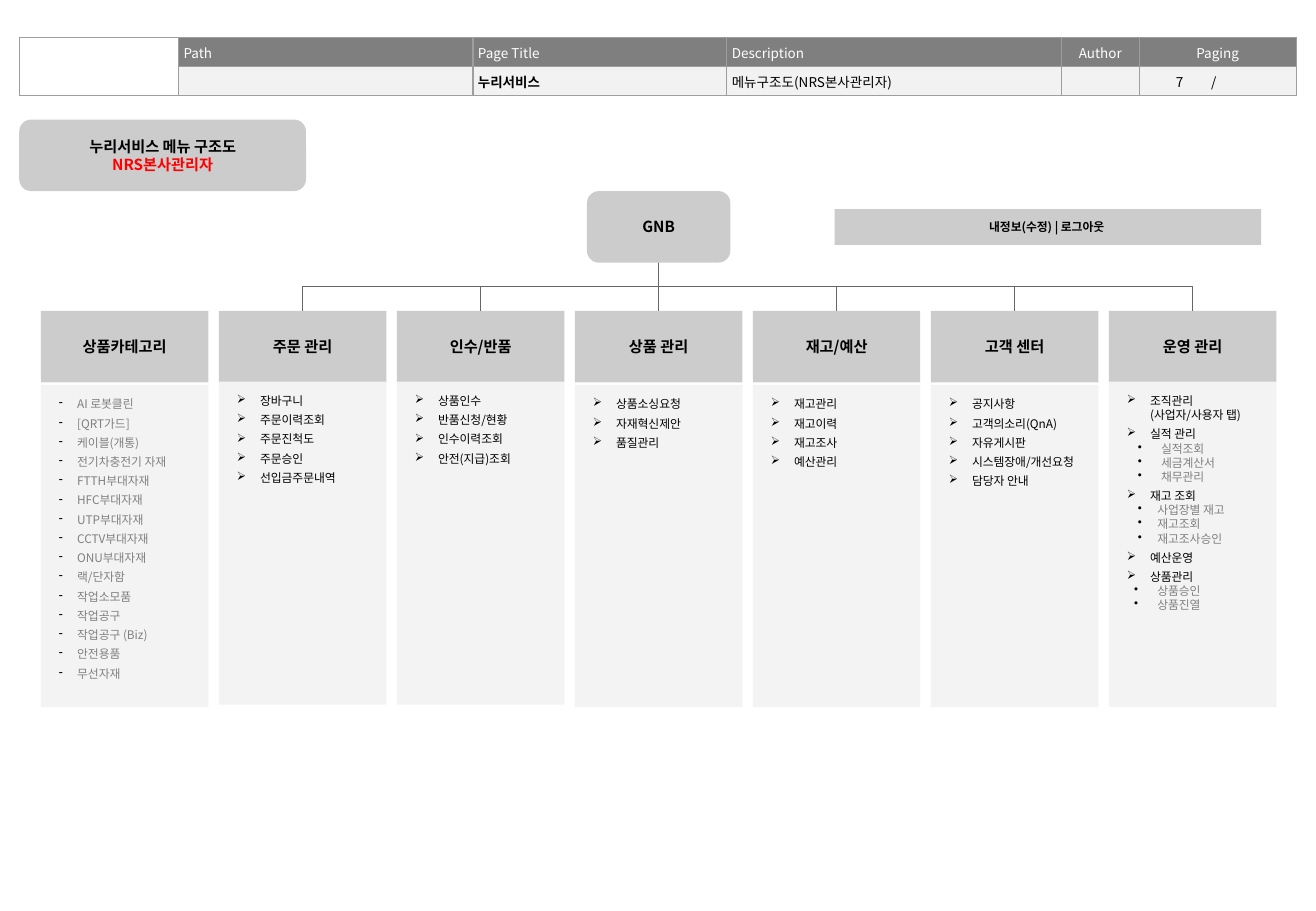
from copy import deepcopy

from lxml import etree
from pptx import Presentation
from pptx.dml.color import RGBColor
from pptx.enum import shapes, text
from pptx.oxml import ns
from pptx.util import Pt

FONT = "Noto Sans CJK KR"
BLACK = RGBColor(0x00, 0x00, 0x00)
WHITE = RGBColor(0xFF, 0xFF, 0xFF)
RED = RGBColor(0xFF, 0x00, 0x00)
GRAY = RGBColor(0x80, 0x80, 0x80)
LINE = RGBColor(0x66, 0x66, 0x66)
BORDER = RGBColor(0x9E, 0x9E, 0x9E)
HEADING_FILL = RGBColor(0x7F, 0x7F, 0x7F)
VALUE_FILL = RGBColor(0xF2, 0xF2, 0xF2)
BOX_FILL = RGBColor(0xCC, 0xCC, 0xCC)
LIST_FILL = RGBColor(0xF3, 0xF3, 0xF3)

LEFT, CENTER, RIGHT = text.PP_ALIGN.LEFT, text.PP_ALIGN.CENTER, text.PP_ALIGN.RIGHT
RECTANGLE = shapes.MSO_SHAPE.RECTANGLE
ROUNDED = shapes.MSO_SHAPE.ROUNDED_RECTANGLE

MENU_LEFT, MENU_STEP, MENU_WIDTH = 24.3, 105.5, 99.2
MENU_TOP, BOX_HEIGHT = 184.3, 42.4
LIST_HIGH, LIST_LOW = 226.2, 228.2

CATEGORY = {"bullet": "-", "margin": 14.4, "hanging": 10.8, "before": 3, "color": GRAY}
ITEM = {"bullet": "➢", "margin": 17.3, "hanging": 13.7, "before": 3}
RESULT = {"bullet": "•", "margin": 23.8, "hanging": 13.7, "color": GRAY}
STOCK = {"bullet": "•", "margin": 21.6, "hanging": 11.5, "color": GRAY}
PRODUCT = {"bullet": "•", "margin": 21.6, "hanging": 13.7, "color": GRAY}

MENUS = [
    ("상품카테고리", LIST_LOW, 191, [(CATEGORY, [
        "AI 로봇클린", "[QRT가드]", "케이블(개통)", "전기차충전기 자재", "FTTH부대자재",
        "HFC부대자재", "UTP부대자재", "CCTV부대자재", "ONU부대자재", "랙/단자함",
        "작업소모품", "작업공구", "작업공구 (Biz)", "안전용품", "무선자재"])]),
    ("주문 관리", LIST_HIGH, 191.5, [(ITEM, [
        "장바구니", "주문이력조회", "주문진척도", "주문승인", "선입금주문내역"])]),
    ("인수/반품", LIST_HIGH, 191.5, [(ITEM, [
        "상품인수", "반품신청/현황", "인수이력조회", "안전(지급)조회"])]),
    ("상품 관리", LIST_LOW, 191, [(ITEM, ["상품소싱요청", "자재혁신제안", "품질관리"])]),
    ("재고/예산", LIST_LOW, 191, [(ITEM, ["재고관리", "재고이력", "재고조사", "예산관리"])]),
    ("고객 센터", LIST_LOW, 191, [(ITEM, [
        "공지사항", "고객의소리(QnA)", "자유게시판", "시스템장애/개선요청", "담당자 안내"])]),
    ("운영 관리", LIST_HIGH, 193, [
        (ITEM, ["조직관리\v(사업자/사용자 탭)", "실적 관리"]),
        (RESULT, ["실적조회", "세금계산서", "채무관리"]),
        (ITEM, ["재고 조회"]),
        (STOCK, ["사업장별 재고", "재고조회", "재고조사승인"]),
        (ITEM, ["예산운영", "상품관리"]),
        (PRODUCT, ["상품승인", "상품진열"])]),
]

COLUMN_WIDTHS = [94.5, 174.5, 150.5, 198.3, 46.2, 29, 30.2, 33.8]
HEADINGS = ["", "Path", "Page Title", "Description", "Author", "Paging", "", ""]
VALUES = ["", "", "누리서비스", "메뉴구조도(NRS본사관리자)", "", "7", "/", ""]
HEADING_ALIGNS = [LEFT] * 4 + [CENTER] * 4
VALUE_ALIGNS = [LEFT] * 5 + [RIGHT, CENTER, LEFT]
VALUE_BORDERS = ["LRTB"] * 5 + ["LTB", "TB", "RTB"]


def add_bullet(paragraph, bullet, margin, hanging):
    properties = paragraph._p.get_or_add_pPr()
    properties.set("marL", str(Pt(margin)))
    properties.set("indent", str(-Pt(hanging)))
    color = etree.SubElement(properties, ns.qn("a:buClr"))
    etree.SubElement(color, ns.qn("a:srgbClr"), val=str(BLACK))
    etree.SubElement(properties, ns.qn("a:buChar"), char=bullet)


def write(frame, content, size=9, color=BLACK, bold=False, align=LEFT, before=0,
          bullet=None, margin=0, hanging=0):
    first = not frame.text
    paragraph = frame.paragraphs[0] if first else frame.add_paragraph()
    paragraph.text = content
    paragraph.alignment = align
    paragraph.space_before = Pt(0 if first else before)
    if bullet:
        add_bullet(paragraph, bullet, margin, hanging)
    for run in paragraph.runs:
        run.font.name = FONT
        run.font.size = Pt(size)
        run.font.bold = bold
        run.font.color.rgb = color
        etree.SubElement(run.font._element, ns.qn("a:ea"), typeface=FONT)
    for line_break in paragraph._p.findall(ns.qn("a:br")):
        line_break.append(deepcopy(paragraph.runs[0].font._element))
    if not content:
        etree.SubElement(paragraph._p, ns.qn("a:endParaRPr"), sz=str(size * 100))


def add_box(slide, kind, left, top, width, height, fill=BOX_FILL,
            anchor=text.MSO_ANCHOR.MIDDLE):
    shape = slide.shapes.add_shape(kind, Pt(left), Pt(top), Pt(width), Pt(height))
    shape.shadow.inherit = False
    shape.fill.solid()
    shape.fill.fore_color.rgb = fill
    shape.line.fill.background()
    frame = shape.text_frame
    frame.word_wrap = True
    frame.vertical_anchor = anchor
    frame.margin_left = frame.margin_right = Pt(7.2)
    frame.margin_top = frame.margin_bottom = Pt(7.2)
    return shape


def add_borders(cell, sides):
    properties = cell._tc.get_or_add_tcPr()
    for index, side in enumerate("LRTB"):
        line = etree.Element(ns.qn(f"a:ln{side}"), w=str(Pt(0.75)))
        if side in sides:
            fill = etree.SubElement(line, ns.qn("a:solidFill"))
            etree.SubElement(fill, ns.qn("a:srgbClr"), val=str(BORDER))
        else:
            etree.SubElement(line, ns.qn("a:noFill"))
        properties.insert(index, line)


def fill_cell(cell, content, fill, borders="LRTB", **text_format):
    cell.vertical_anchor = text.MSO_ANCHOR.MIDDLE
    cell.margin_left = cell.margin_right = Pt(2.9)
    cell.margin_top = cell.margin_bottom = Pt(2.5)
    if fill is None:
        cell.fill.background()
    else:
        cell.fill.solid()
        cell.fill.fore_color.rgb = fill
    add_borders(cell, borders)
    write(cell.text_frame, content, size=8, **text_format)


def add_page_table(slide):
    frame = slide.shapes.add_table(2, len(COLUMN_WIDTHS), Pt(11.4), Pt(22.4),
                                   Pt(sum(COLUMN_WIDTHS)), Pt(34.4))
    table = frame.table
    table.first_row = table.horz_banding = False
    for row in table.rows:
        row.height = Pt(17.2)
    for index, width in enumerate(COLUMN_WIDTHS):
        table.columns[index].width = Pt(width)
        has_fill = index > 0
        fill_cell(table.cell(0, index), HEADINGS[index], HEADING_FILL if has_fill else None,
                  color=WHITE, align=HEADING_ALIGNS[index])
        fill_cell(table.cell(1, index), VALUES[index], VALUE_FILL if has_fill else None,
                  borders=VALUE_BORDERS[index], align=VALUE_ALIGNS[index], bold=index == 2)
    table.cell(0, 0).merge(table.cell(1, 0))
    table.cell(0, 5).merge(table.cell(0, 7))


def style_line(connector):
    connector.line.color.rgb = LINE
    connector.line.width = Pt(0.75)
    etree.SubElement(connector._element.spPr, ns.qn("a:effectLst"))


def add_branch(slide, parent, child):
    start_x, start_y = parent.left + parent.width // 2, parent.top + parent.height
    end_x, end_y = child.left + child.width // 2, child.top
    reach = end_x - start_x
    if abs(reach) < Pt(1):
        connector = slide.shapes.add_connector(
            shapes.MSO_CONNECTOR.STRAIGHT, start_x, start_y, end_x, end_y)
        connector.begin_connect(parent, 2)
        connector.end_connect(child, 0)
    else:
        middle_x, middle_y = (start_x + end_x) // 2, (start_y + end_y) // 2
        half_drop = (end_y - start_y) // 2 * (1 if reach < 0 else -1)
        half_reach = abs(reach) // 2
        connector = slide.shapes.add_connector(
            shapes.MSO_CONNECTOR.ELBOW, middle_x - half_drop, middle_y - half_reach,
            middle_x + half_drop, middle_y + half_reach)
        transform = connector._element.spPr.find(ns.qn("a:xfrm"))
        transform.set("rot", str((90 if reach < 0 else 270) * 60000))
    style_line(connector)


def add_menu(slide, index, title, list_top, list_height, groups):
    left = MENU_LEFT + MENU_STEP * index
    heading = add_box(slide, RECTANGLE, left, MENU_TOP, MENU_WIDTH, BOX_HEIGHT)
    write(heading.text_frame, title, bold=True, align=CENTER)
    body = add_box(slide, RECTANGLE, left, list_top, MENU_WIDTH, list_height,
                   fill=LIST_FILL, anchor=text.MSO_ANCHOR.TOP)
    for style, items in groups:
        for item in items:
            write(body.text_frame, item, size=7, **style)
    return heading


def main():
    presentation = Presentation()
    presentation.slide_width, presentation.slide_height = Pt(780), Pt(540)
    slide = presentation.slides.add_slide(presentation.slide_layouts[6])
    add_page_table(slide)
    title = add_box(slide, ROUNDED, 11.4, 70.9, 170, BOX_HEIGHT)
    write(title.text_frame, "누리서비스 메뉴 구조도", bold=True, align=CENTER)
    write(title.text_frame, "NRS본사관리자", bold=True, align=CENTER, color=RED)
    root = add_box(slide, ROUNDED, 347.9, 113.3, 85, BOX_HEIGHT)
    write(root.text_frame, "GNB", bold=True, align=CENTER)
    account = add_box(slide, RECTANGLE, 494.8, 123.9, 252.8, 21.3)
    write(account.text_frame, "내정보(수정) | 로그아웃 ", size=7, bold=True, align=CENTER)
    headings = [add_menu(slide, index, *menu) for index, menu in enumerate(MENUS)]
    for heading in headings[1:]:
        add_branch(slide, root, heading)
    presentation.save("out.pptx")


if __name__ == "__main__":
    main()
